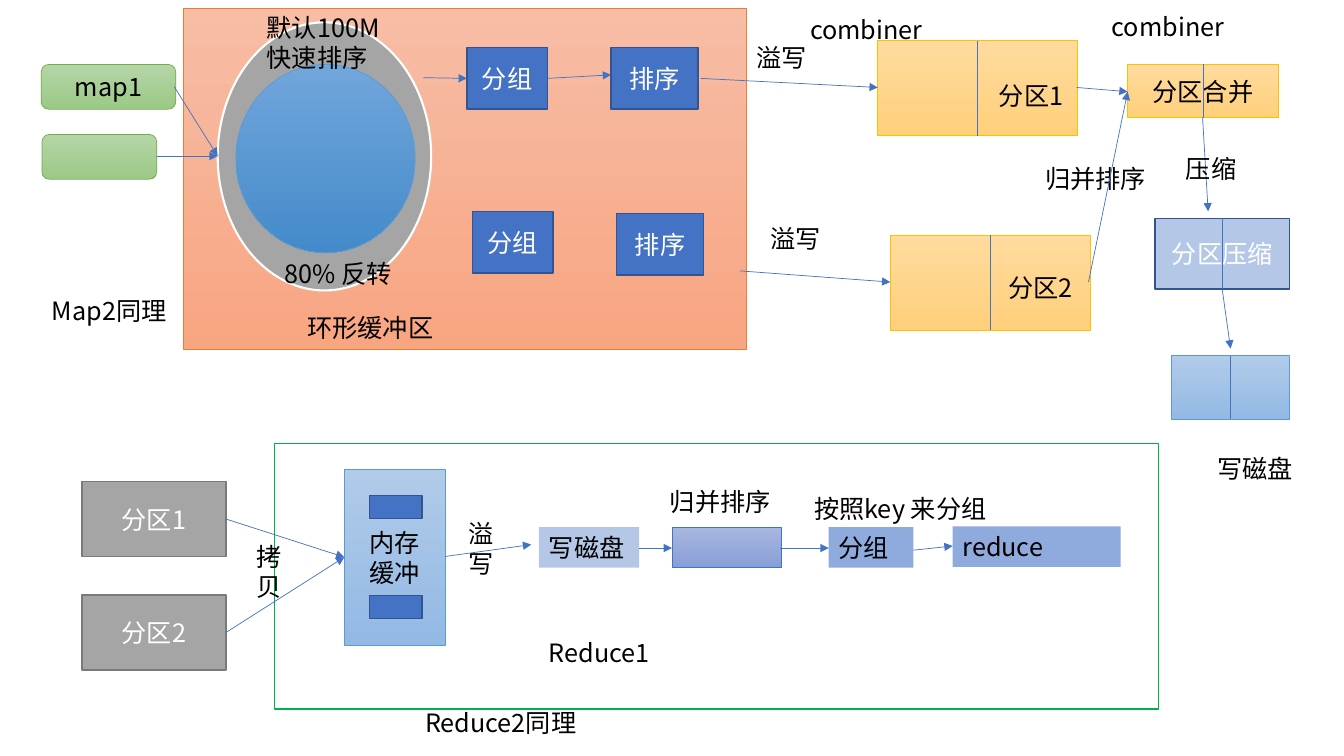
from lxml import etree
from pptx import Presentation
from pptx.dml.color import RGBColor
from pptx.enum import shapes, text
from pptx.oxml import ns
from pptx.util import Pt

FONT = "Noto Sans CJK SC"
COLORS = {
    "black": "000000", "white": "FFFFFF", "blue": "4472C4", "navy": "325491",
    "sky": "5B9BD5", "pale": "B4C7E7", "mid": "8FAADC", "gray": "A5A5A5",
    "dark gray": "7A7A7A", "green": "70AD47", "frame": "00B050",
    "orange": "ED7D31", "gold": "FFC000",
}
GRADIENTS = {
    "orange fade": ("F7BDA5", "F8A582"),
    "green fade": ("B5D5A7", "9CC987"),
    "gold fade": ("FFDB9E", "FFD07C"),
    "ring fade": ("71A6DB", "448ACA"),
    "sky fade": ("B1CBE9", "93B9E4"),
    "blue fade": ("A8B7DF", "889ED7"),
}
RECT = shapes.MSO_SHAPE.RECTANGLE
ROUND = shapes.MSO_SHAPE.ROUNDED_RECTANGLE
OVAL = shapes.MSO_SHAPE.OVAL
CENTER, LEFT = text.PP_ALIGN.CENTER, text.PP_ALIGN.LEFT
MIDDLE, TOP = text.MSO_ANCHOR.MIDDLE, text.MSO_ANCHOR.TOP


def rgb(name):
    return RGBColor.from_string(COLORS[name])


class Diagram:
    """Holds the page and draws each kind of element, in points."""

    def __init__(self, page):
        self.page = page

    def put_text(self, frame, words, color="black", align=LEFT, anchor=TOP):
        frame.word_wrap = True
        frame.vertical_anchor = anchor
        frame.text = words
        for para in frame.paragraphs:
            para.alignment = align
            para.font.size = Pt(18)
            para.font.name = FONT
            para.font.color.rgb = rgb(color)
            for style in para._p.iter(ns.qn("a:defRPr")):
                etree.SubElement(style, ns.qn("a:ea"), typeface=FONT)

    def box(self, left, top, width, height, fill, line=None, words="",
            color="black", weight=0.5, kind=RECT, align=CENTER, anchor=MIDDLE):
        box = self.page.shapes.add_shape(kind, Pt(left), Pt(top), Pt(width), Pt(height))
        box.shadow.inherit = False
        if fill in GRADIENTS:
            box.fill.gradient()
            box.fill.gradient_angle = 270
            for stop, shade in zip(box.fill.gradient_stops, GRADIENTS[fill]):
                stop.color.rgb = RGBColor.from_string(shade)
        else:
            box.fill.solid()
            box.fill.fore_color.rgb = rgb(fill)
        if line:
            box.line.color.rgb = rgb(line)
            box.line.width = Pt(weight)
        else:
            box.line.fill.background()
        if words:
            self.put_text(box.text_frame, words, color, align, anchor)

    def split_box(self, left, top, width, height, *style, **options):
        self.box(left, top, width, height, *style, **options)
        middle = left + width / 2
        self.line((middle, top), (middle, top + height), arrow=False)

    def label(self, left, top, width, words, height=29):
        box = self.page.shapes.add_textbox(Pt(left), Pt(top), Pt(width), Pt(height))
        self.put_text(box.text_frame, words)

    def line(self, start, end, arrow=True):
        line = self.page.shapes.add_connector(
            shapes.MSO_CONNECTOR.STRAIGHT, *map(Pt, start + end))
        line.line.color.rgb = rgb("blue")
        line.line.width = Pt(0.5)
        properties = line._element.spPr
        if arrow:
            etree.SubElement(properties.find(ns.qn("a:ln")), ns.qn("a:tailEnd"),
                             type="triangle")
        etree.SubElement(properties, ns.qn("a:effectLst"))


deck = Presentation()
deck.slide_width, deck.slide_height = Pt(960), Pt(540)
diagram = Diagram(deck.slides.add_slide(deck.slide_layouts[6]))

# Map inputs and ring buffer
diagram.box(131, 6, 402, 243.5, "orange fade", "orange")
diagram.box(29.5, 46, 96, 32, "green fade", "green", "map1", kind=ROUND)
diagram.box(30, 96, 82, 32, "green fade", "green", kind=ROUND)
diagram.box(155.5, 16, 152.5, 191.5, "gray", "white", weight=1.5, kind=OVAL)
diagram.box(168.5, 46, 128, 134.5, "ring fade", "sky", kind=OVAL)
for start in ((124.5, 62), (112, 111.5)):
    diagram.line(start, (155.5, 111.5))
diagram.label(183.5, 5, 159, "默认100M\n快速排序", height=51)
diagram.label(196, 181, 106.5, "80% 反转")
diagram.label(30, 207.5, 106.5, "Map2同理")
diagram.label(212.5, 219.5, 129.5, "环形缓冲区")

# Grouping and sorting
for left, top, width, words in (
        (333.5, 34, 57.5, "分组"), (436.5, 34, 62, "排序"),
        (337.5, 151, 57.5, "分组"), (440.5, 152.5, 62, "排序")):
    diagram.box(left, top, width, 44, "blue", "navy", words, "white", 1)
diagram.line((302.5, 55.5), (333.5, 56))
diagram.line((391, 56), (436.5, 53.5))

# Spilled partitions
for left, top in ((627, 29), (636, 168)):
    diagram.split_box(left, top, 142.5, 68, "gold fade", "gold")
diagram.line((500.5, 56), (627, 62.5))
diagram.line((528.5, 193.5), (636, 201.5))
for left, top, width, words in (
        (533, 26.5, 121.5, "溢写"), (543.5, 156, 121.5, "溢写"),
        (706.5, 53.5, 60.5, "分区1"), (713, 191, 65, "分区2"),
        (739.5, 113, 124.5, "归并排序"),
        (571.5, 7, 98, "combiner"), (787, 4.5, 107, "combiner")):
    diagram.label(left, top, width, words)

# Merge, compress and write to disk
diagram.split_box(805.5, 46, 107.5, 38, "gold fade", "gold", "分区合并")
diagram.split_box(825, 156, 96, 50.5, "pale", "navy", "分区压缩", "white", 1)
diagram.split_box(836.5, 254, 84.5, 45.5, "sky fade", "sky")
for start in ((769, 62.5), (777.5, 201.5)):
    diagram.line(start, (805.5, 65.5))
diagram.line((859, 84), (863, 151))
diagram.line((873, 206.5), (879, 249))
diagram.label(840, 106, 66, "压缩")
diagram.label(862.5, 320.5, 70.5, "写磁盘")

# Reduce frame with copied partitions
diagram.box(196, 317, 631.5, 189.5, "white", "frame", weight=1)
diagram.box(246, 335, 72, 126, "sky fade", "sky", "内存\n缓冲")
for top, words in ((344, "分区1"), (425, "分区2")):
    diagram.box(58.5, top, 103, 53.5, "gray", "dark gray", words, "white", 1)
    diagram.line((161.5, top + 26.75), (246, 398))
for top in (354, 425.5):
    diagram.box(264, top, 37.5, 16.5, "blue", "navy", weight=1)
diagram.label(176.5, 383, 36, "拷贝", height=51)
diagram.label(327.5, 366.5, 41, "溢写", height=51)

# Reduce steps
diagram.box(480, 376.5, 78, 29, "blue fade", "blue")
for left, top, width, fill, words in (
        (385, 376.5, 71.5, "pale", "写磁盘"), (592, 376.5, 60.5, "mid", "分组"),
        (680.5, 376, 120, "mid", "reduce")):
    diagram.box(left, top, width, 29, fill, words=words, align=LEFT, anchor=TOP)
for start, end in (
        ((318, 397.5), (379.5, 389)), ((456.5, 391.5), (480, 391.5)),
        ((557.5, 391.5), (592, 391.5)), ((652.5, 393), (680.5, 390))):
    diagram.line(start, end)
diagram.label(471.5, 343.5, 95, "归并排序")
diagram.label(574.5, 348.5, 194.5, "按照key 来分组")
diagram.label(385, 451.5, 147.5, "Reduce1")
diagram.label(296.5, 502, 147.5, "Reduce2同理")

deck.save("out.pptx")
